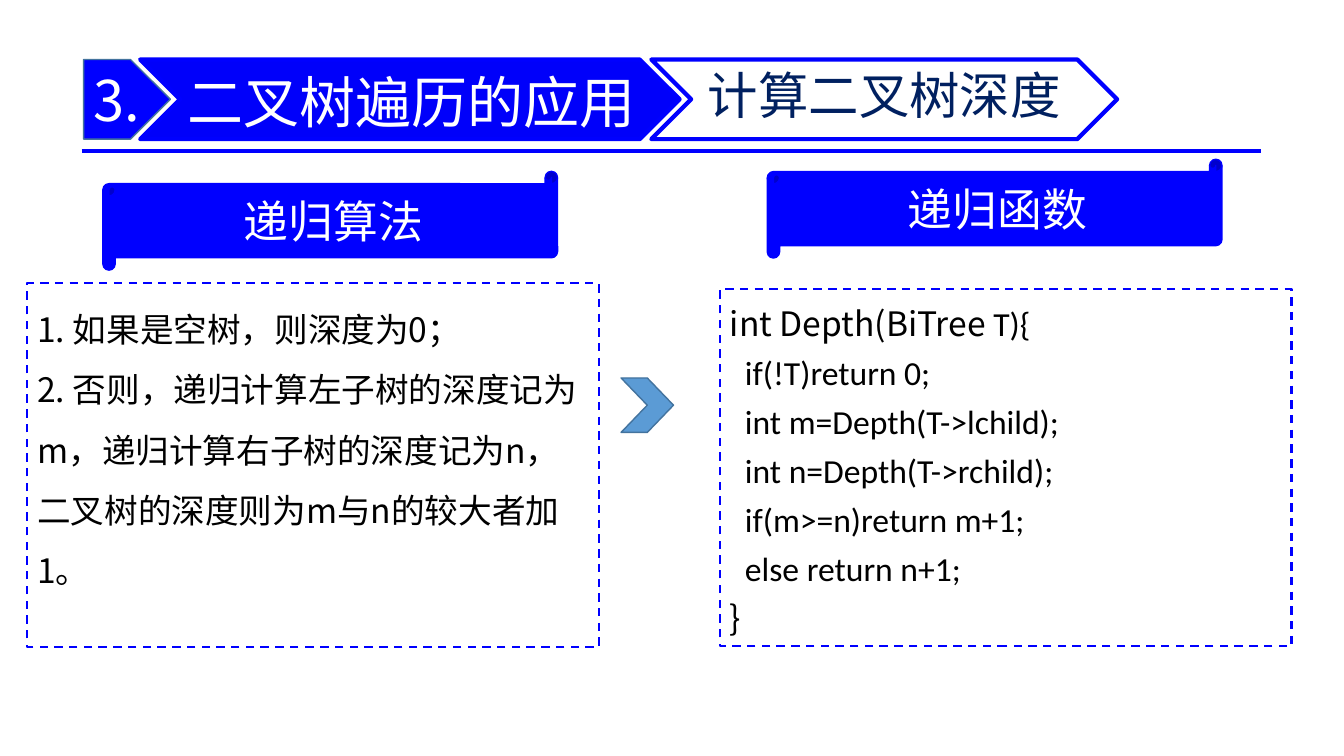
from lxml import etree
from pptx import Presentation
from pptx.dml.color import RGBColor
from pptx.enum.dml import MSO_LINE
from pptx.enum.shapes import MSO_CONNECTOR, MSO_SHAPE
from pptx.enum.text import MSO_ANCHOR, MSO_AUTO_SIZE, PP_ALIGN
from pptx.oxml.ns import qn
from pptx.util import Inches, Pt

BLUE = RGBColor(0x00, 0x00, 0xFF)
BANNER_BLUE = RGBColor(0x00, 0x00, 0xFA)
ARROW_BLUE = RGBColor(0x5B, 0x9B, 0xD5)
EDGE_BLUE = RGBColor(0x43, 0x73, 0x9E)
NAVY = RGBColor(0x00, 0x20, 0x60)
WHITE = RGBColor(0xFF, 0xFF, 0xFF)
BLACK = RGBColor(0x00, 0x00, 0x00)
CHINESE_FONT = "Noto Sans CJK SC"
CODE_FONT = "Calibri"

ALGORITHM = [
    "1. 如果是空树，则深度为0；",
    "2. 否则，递归计算左子树的深度记为m，递归计算右子树的深度记为n，二叉树的深度则为m与n的较大者加1。",
]
CODE = [
    (0, [("int Depth(BiTree ", CHINESE_FONT), ("T){", CODE_FONT)]),
    (0.15, [("if(!T)return 0;", CODE_FONT)]),
    (0.15, [("int m=Depth(T->lchild);", CODE_FONT)]),
    (0.15, [("int n=Depth(T->rchild);", CODE_FONT)]),
    (0.15, [("if(m>=n)return m+1;", CODE_FONT)]),
    (0.15, [("else return n+1;", CODE_FONT)]),
    (0, [("}", CHINESE_FONT)]),
]


def apply(target, values):
    """Set every attribute named in a dict of format values."""
    for name, value in values.items():
        setattr(target, name, value)


class SlideBuilder:
    """Holds the slide and its text style and adds each kind of element."""

    def __init__(self, slide):
        """Keep the slide that receives the elements."""
        self.slide = slide

    def place(self, shape, box):
        """Move a shape to a box of left, top, width and height in inches."""
        apply(shape, dict(zip(("left", "top", "width", "height"), map(Inches, box))))

    def paint(self, shape, fill, line, width, dash=None):
        """Give a shape its fill and outline."""
        shape.fill.solid()
        shape.fill.fore_color.rgb = fill
        shape.line.color.rgb = line
        apply(shape.line, {"width": Pt(width), "dash_style": dash})

    def frame(self, shape, anchor=MSO_ANCHOR.MIDDLE, insets=(0.1, 0.05, 0.1, 0.05)):
        """Set wrapping, anchor and insets, and return the text frame."""
        names = ("margin_left", "margin_top", "margin_right", "margin_bottom")
        values = {"word_wrap": True, "auto_size": MSO_AUTO_SIZE.NONE, "vertical_anchor": anchor}
        apply(shape.text_frame, values | dict(zip(names, map(Inches, insets))))
        return shape.text_frame

    def add_text(self, text_frame, paragraphs, size, color, align=PP_ALIGN.LEFT, spacing=1.0):
        """Add paragraphs given as an indent and a list of text and font pairs."""
        for index, (indent, runs) in enumerate(paragraphs):
            paragraph = text_frame.add_paragraph() if index else text_frame.paragraphs[0]
            apply(paragraph, {"alignment": align, "line_spacing": spacing, "space_before": Pt(0)})
            properties = paragraph._p.get_or_add_pPr()
            properties.set("marL", str(Inches(indent)))
            properties.set("indent", "0")
            etree.SubElement(properties, qn("a:buNone"))
            for text, font_name in runs:
                run = paragraph.add_run()
                run.text = text
                apply(run.font, {"name": font_name, "size": Pt(size)})
                run.font.color.rgb = color
                east_asian = etree.SubElement(run._r.get_or_add_rPr(), qn("a:ea"))
                east_asian.set("typeface", CHINESE_FONT)

    def shape(self, kind, box, fill=BLUE, line=BLUE, width=1, dash=None):
        """Add a flat preset shape."""
        shape = self.slide.shapes.add_shape(kind, *map(Inches, box))
        shape.shadow.inherit = False
        self.paint(shape, fill, line, width, dash)
        return shape

    def rule(self, left, right, top):
        """Add the horizontal line under the heading."""
        ends = map(Inches, (left, top, right, top))
        connector = self.slide.shapes.add_connector(MSO_CONNECTOR.STRAIGHT, *ends)
        connector.line.color.rgb = BLUE
        connector.line.width = Pt(3)
        etree.SubElement(connector._element.spPr, qn("a:effectLst"))

    def title(self, box, text):
        """Place the title placeholder in front of the shapes drawn so far."""
        title = self.slide.shapes.title
        self.place(title, box)
        title._element.getparent().append(title._element)
        text_frame = self.frame(title, insets=(0.04, 0.02, 0, 0.02))
        self.add_text(text_frame, [(0, [(text, CHINESE_FONT)])], 40, WHITE)

    def scroll(self, left, top, text):
        """Add a scroll banner with a column heading."""
        scroll = self.shape(MSO_SHAPE.HORIZONTAL_SCROLL, (left, top, 4.51, 0.98))
        paragraphs = [(0, [(text, CHINESE_FONT)])]
        self.add_text(self.frame(scroll), paragraphs, 32, WHITE, PP_ALIGN.CENTER)

    def algorithm(self, box, lines):
        """Fill the body placeholder with the steps of the algorithm."""
        body = self.slide.placeholders[1]
        self.place(body, box)
        self.paint(body, WHITE, BLUE, 1.5, MSO_LINE.DASH)
        paragraphs = [(0, [(line, CHINESE_FONT)]) for line in lines]
        self.add_text(self.frame(body, MSO_ANCHOR.TOP), paragraphs, 24, BLACK, spacing=1.5)

    def code(self, box, paragraphs):
        """Add the dashed box with the program code."""
        panel = self.shape(MSO_SHAPE.RECTANGLE, box, WHITE, BLUE, 1.5, MSO_LINE.DASH)
        self.add_text(self.frame(panel, MSO_ANCHOR.TOP), paragraphs, 24, BLACK, spacing=Pt(35))


def main():
    """Build the slide and save it."""
    presentation = Presentation()
    apply(presentation, {"slide_width": Inches(13.33), "slide_height": Inches(7.5)})
    builder = SlideBuilder(presentation.slides.add_slide(presentation.slide_layouts[1]))

    builder.rule(0.81, 12.51, 1.5)
    number = builder.shape(MSO_SHAPE.PENTAGON, (0.83, 0.59, 0.86, 0.79), line=EDGE_BLUE)
    number_frame = builder.frame(number, insets=(0.1, 0.05, 0, 0.05))
    builder.add_text(number_frame, [(0, [("3.", CHINESE_FONT)])], 40, WHITE)
    builder.shape(MSO_SHAPE.CHEVRON, (1.39, 0.59, 5.35, 0.79), BANNER_BLUE, width=3)
    builder.title((1.82, 0.46, 4.6, 1.08), "二叉树遍历的应用")
    topic = builder.shape(MSO_SHAPE.CHEVRON, (6.46, 0.59, 4.62, 0.79), WHITE, width=3)
    topic_text = [(0, [("计算二叉树深度", CHINESE_FONT)])]
    builder.add_text(builder.frame(topic, MSO_ANCHOR.TOP), topic_text, 36, NAVY, PP_ALIGN.CENTER)

    builder.shape(MSO_SHAPE.CHEVRON, (6.16, 3.75, 0.52, 0.54), ARROW_BLUE, EDGE_BLUE)
    builder.scroll(1.02, 1.7, "递归算法")
    builder.algorithm((0.27, 2.81, 5.67, 3.61), ALGORITHM)
    builder.scroll(7.61, 1.58, "递归函数")
    builder.code((7.14, 2.87, 5.67, 3.54), CODE)

    presentation.save("out.pptx")


if __name__ == "__main__":
    main()
